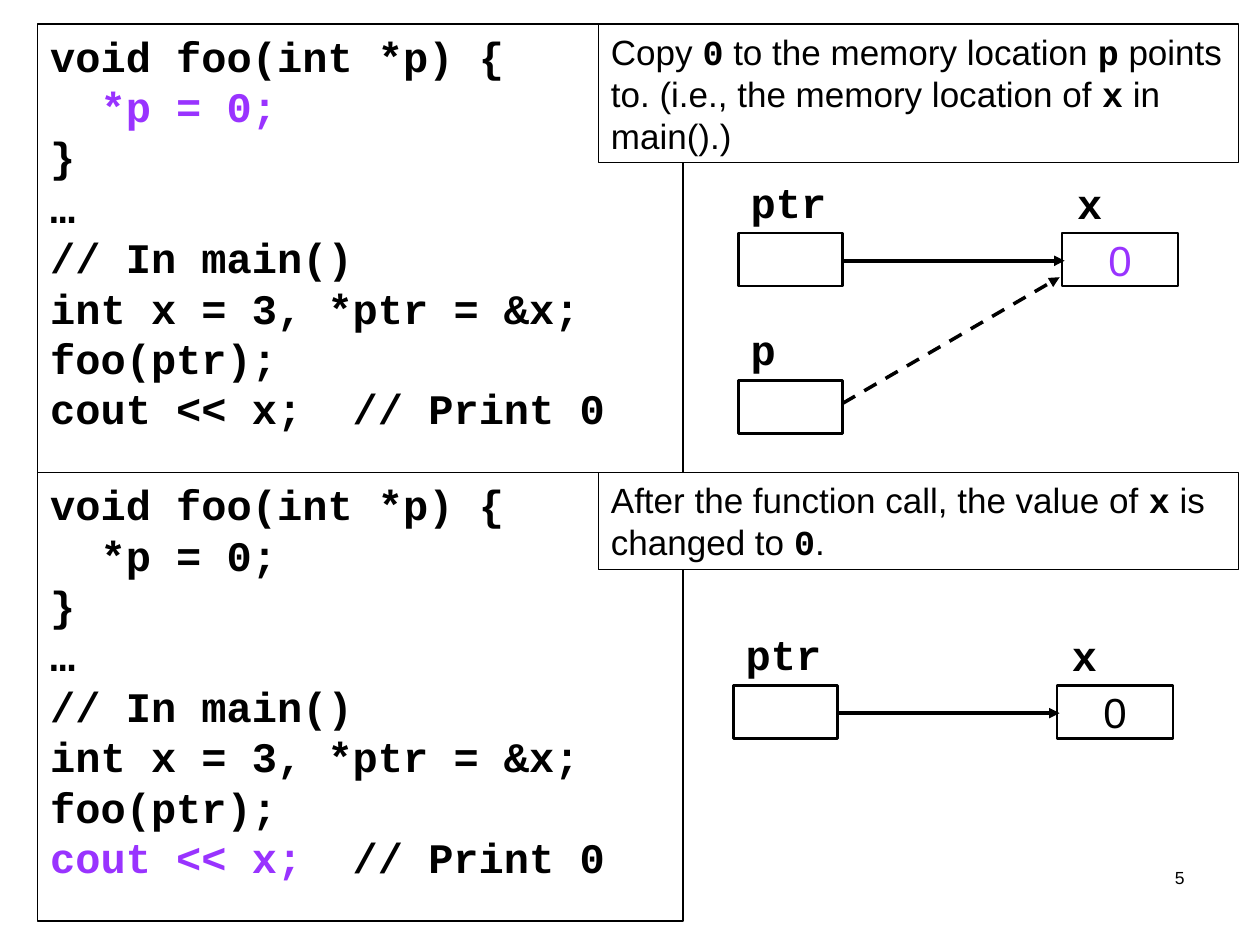
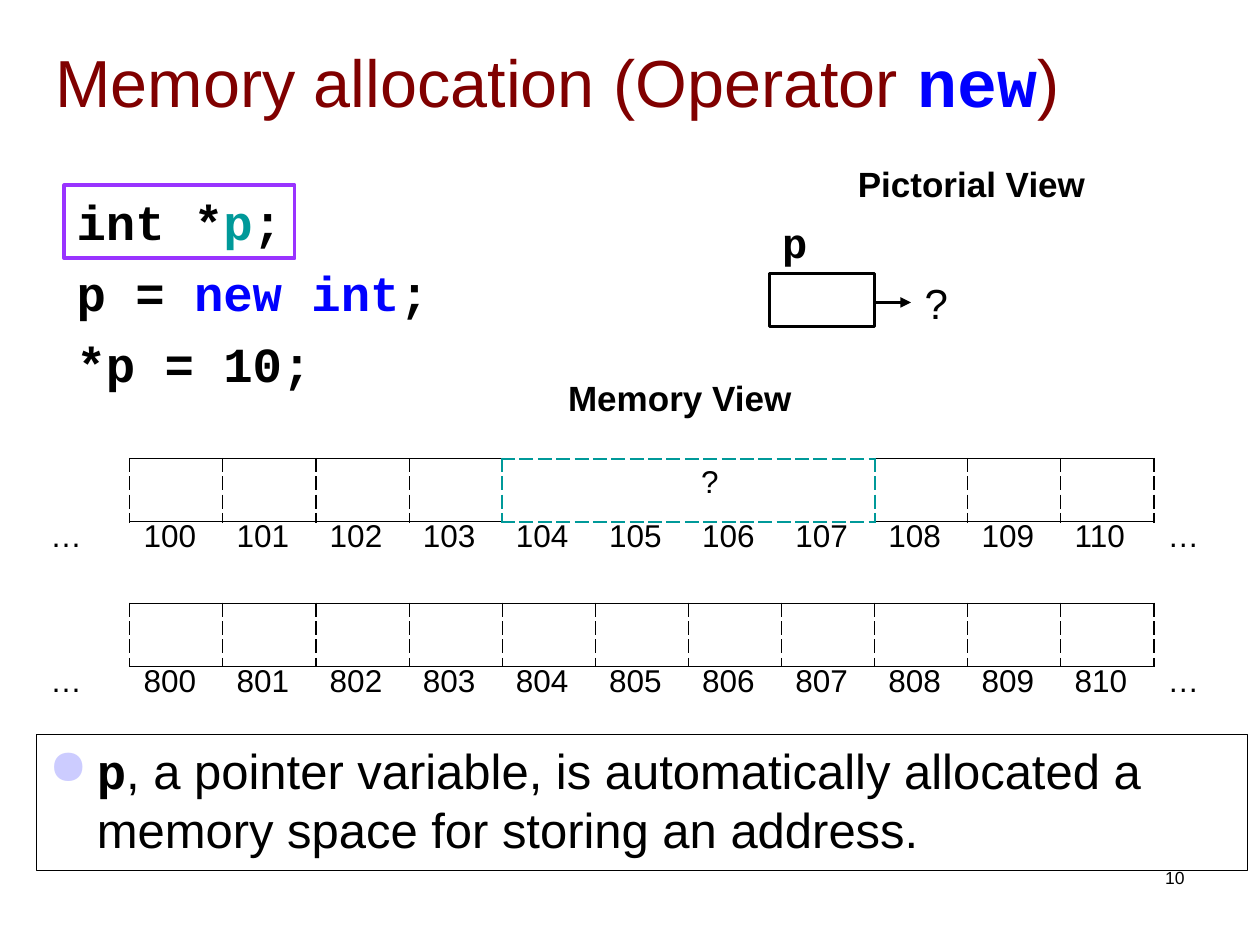
import lxml.etree
import pptx
import pptx.dml.color
import pptx.enum.dml
import pptx.enum.shapes
import pptx.enum.text
import pptx.oxml.ns
import pptx.util

RGB = pptx.dml.color.RGBColor
BLACK = RGB(0x00, 0x00, 0x00)
WHITE = RGB(0xFF, 0xFF, 0xFF)
PURPLE = RGB(0x99, 0x33, 0xFF)
MAROON = RGB(0x80, 0x00, 0x00)
BLUE = RGB(0x00, 0x00, 0xFF)
TEAL = RGB(0x00, 0x99, 0x99)
LILAC = RGB(0xCC, 0xCC, 0xFF)

# Run styles: font, bold, colour
SANS = ("Arial", False, BLACK)
HEAD = ("Arial", True, BLACK)
TITLE = ("Arial", False, MAROON)
VALUE_NEW = ("Arial", False, PURPLE)
MONO = ("Courier New", True, BLACK)
MONO_HOT = ("Courier New", True, PURPLE)
MONO_KEY = ("Courier New", True, BLUE)
MONO_VAR = ("Courier New", True, TEAL)

LEFT, CENTER, RIGHT = (pptx.enum.text.PP_ALIGN.LEFT, pptx.enum.text.PP_ALIGN.CENTER,
                       pptx.enum.text.PP_ALIGN.RIGHT)
MIDDLE = pptx.enum.text.MSO_ANCHOR.MIDDLE

CODE = ["void foo(int *p) {", "  *p = 0;", "}", "…", "// In main()",
        "int x = 3, *ptr = &x;", "foo(ptr);", "cout << x;  // Print 0"]
CODE_SIZE = (5.12, 3.56)
NOTE_LEFT, NOTE_WIDTH = 4.75, 5.08

# Lower stage first, so that the upper one lies in front
STAGES = [
    dict(top=3.75, hot="cout << x; ", ptr=(5.82, 5.44), value=SANS, call=False,
         note_height=0.77,
         note=[("After the function call, the value of ", SANS), ("x", MONO),
               (" is changed to ", SANS), ("0", MONO), (".", SANS)]),
    dict(top=0.19, hot="  *p = 0;", ptr=(5.86, 1.85), value=VALUE_NEW, call=True,
         note_height=1.1,
         note=[("Copy ", SANS), ("0", MONO), (" to the memory location ", SANS),
               ("p", MONO), (" points to. (i.e., the memory location of ", SANS),
               ("x", MONO), (" in main().)", SANS)]),
]
POINTER = (0.83, 0.42)
TARGET = (0.92, 0.42)
LABEL_RISE = 0.5
TARGET_SHIFT = 2.57
CALL_DROP = 1.17

TITLE_RUNS = [("Memory allocation (Operator ", TITLE), ("new", MONO_KEY), (")", TITLE)]
STATEMENTS = [
    [("int *", MONO), ("p", MONO_VAR), (";", MONO)],
    [("p = ", MONO), ("new int", MONO_KEY), (";", MONO)],
    [("*p = 10;", MONO)],
]
EXPLANATION = [("p", MONO), (", a pointer variable, is automatically allocated a memory "
                             "space for storing an address.", SANS)]
# Memory strips: top, first address, cells of the new variable
STRIPS = [(3.64, 100, range(4, 8)), (4.79, 800, range(0))]
STRIP_CELLS = 11
UNKNOWN_CELL = 6
STRIP_LEFT, STRIP_WIDTH = 1.03, 8.13
ADDRESS_LEFT, ADDRESS_WIDTH, ADDRESS_DROP = 0.3, 9.61, 0.43
EDGE = (BLACK, 1.08, False)
DIVIDER = (BLACK, 0.75, True)
NEW_EDGE = (TEAL, 1.47, True)


def inches(values):
    return [pptx.util.Inches(v) for v in values]


def sub(parent, tag, **attributes):
    return lxml.etree.SubElement(parent, pptx.oxml.ns.qn(tag), attributes)


def write(tf, paragraphs, size, align=LEFT, gap=0, hanging=False, bullet=False):
    """Fill a text frame with paragraphs, each a list of (text, style) runs."""
    for i, runs in enumerate(paragraphs):
        p = tf.add_paragraph() if i else tf.paragraphs[0]
        p.alignment = align
        if i and gap:
            p.space_before = pptx.util.Pt(gap)
        if hanging:
            indent = pptx.util.Inches(0.38)
            p_pr = p._p.get_or_add_pPr()
            p_pr.set("marL", str(indent))
            p_pr.set("indent", str(-indent))
            if bullet:
                sub(sub(p_pr, "a:buClr"), "a:srgbClr", val=str(LILAC))
                sub(p_pr, "a:buChar", char="●")
            else:
                sub(p_pr, "a:buNone")
        for text, (font, bold, colour) in runs:
            r = p.add_run()
            r.text = text
            r.font.name, r.font.bold, r.font.size = font, bold, pptx.util.Pt(size)
            r.font.color.rgb = colour


def text_box(s, at, paragraphs, size, wrap=True, anchor=None, **layout):
    tf = s.shapes.add_textbox(*inches(at)).text_frame
    tf.word_wrap = wrap
    if anchor is not None:
        tf.vertical_anchor = anchor
    write(tf, paragraphs, size, **layout)


def box(s, at, width, colour=BLACK, fill=None, paragraphs=(), size=24, anchor=None, **layout):
    sp = s.shapes.add_shape(pptx.enum.shapes.MSO_SHAPE.RECTANGLE, *inches(at))
    sp.shadow.inherit = False
    if fill is None:
        sp.fill.background()
    else:
        sp.fill.solid()
        sp.fill.fore_color.rgb = fill
    sp.line.color.rgb = colour
    sp.line.width = pptx.util.Pt(width)
    sp.text_frame.vertical_anchor = anchor or pptx.enum.text.MSO_ANCHOR.TOP
    write(sp.text_frame, paragraphs, size, **layout)


def arrow(s, start, end, dashed=False):
    line = s.shapes.add_connector(pptx.enum.shapes.MSO_CONNECTOR.STRAIGHT,
                                  *inches(start + end))
    line.line.color.rgb = BLACK
    line.line.width = pptx.util.Pt(2)
    if dashed:
        line.line.dash_style = pptx.enum.dml.MSO_LINE.DASH
    sub(line.line._get_or_add_ln(), "a:tailEnd", type="triangle")
    sub(line._element.spPr, "a:effectLst")


def pointer(s, name, left, top, width, fill=None):
    """An empty variable box with its name above."""
    box(s, (left, top) + POINTER, 1.5, fill=fill)
    text_box(s, (left, top - LABEL_RISE, width, 0.5), [[(name, MONO)]], 24, wrap=False)


def page_number(s, number):
    text_box(s, (7.17, 6.83, 2.33, 0.5), [[(str(number), SANS)]], 10, align=RIGHT)


def stage(s, top, hot, ptr, value, call, note_height, note):
    listing = []
    for line in CODE:
        before, found, after = line.partition(hot)
        parts = [(before, MONO), (found, MONO_HOT), (after, MONO)]
        listing.append([part for part in parts if part[0]])
    box(s, (0.3, top) + CODE_SIZE, 0.75, fill=WHITE, paragraphs=listing)

    left, row = ptr
    target = left + TARGET_SHIFT
    tip = left + POINTER[0]
    pointer(s, "ptr", left, row, 0.8)
    box(s, (target, row) + TARGET, 1.5, paragraphs=[[("0", value)]],
        align=CENTER, anchor=MIDDLE)
    text_box(s, (target + 0.02, row - 0.49, 0.33, 0.5), [[("x", MONO)]], 24, wrap=False)
    arrow(s, (tip, row + 0.22), (target + 0.02, row + 0.22))
    if call:
        pointer(s, "p", left, row + CALL_DROP, 0.4)
        arrow(s, (tip, row + CALL_DROP + 0.18), (target - 0.02, row + 0.35), dashed=True)
    box(s, (NOTE_LEFT, top, NOTE_WIDTH, note_height), 0.75, fill=WHITE,
        paragraphs=[note], size=20)


def border(cell, **sides):
    """Set the borders L, R, T and B; a side given as None is not drawn."""
    tc_pr = cell._tc.get_or_add_tcPr()
    for i, side in enumerate("LRTB"):
        style = sides.get(side)
        ln = lxml.etree.Element(pptx.oxml.ns.qn("a:ln" + side))
        tc_pr.insert(i, ln)
        if style is None:
            sub(ln, "a:noFill")
            continue
        colour, width, dashed = style
        ln.set("w", str(pptx.util.Pt(width)))
        sub(sub(ln, "a:solidFill"), "a:srgbClr", val=str(colour))
        sub(ln, "a:prstDash", val="dash" if dashed else "solid")


def one_row_table(s, left, top, width, height, texts):
    columns = len(texts)
    table = s.shapes.add_table(1, columns, *inches((left, top, width, height))).table
    table.first_row = table.horz_banding = False
    for column, cell, text in zip(table.columns, table.rows[0].cells, texts):
        column.width = pptx.util.Inches(width / columns)
        cell.fill.background()
        if text:
            write(cell.text_frame, [[(text, SANS)]], 18)
    return list(table.rows[0].cells)


def memory_strip(s, top, first, new):
    def divider(i):
        """The style of the line between cells i - 1 and i."""
        if new and i in (new.start, new.stop):
            return NEW_EDGE
        return None if i in new else DIVIDER

    contents = ["?" if i in new and i == UNKNOWN_CELL else "" for i in range(STRIP_CELLS)]
    cells = one_row_table(s, STRIP_LEFT, top, STRIP_WIDTH, 0.5, contents)
    for i, cell in enumerate(cells):
        edge = NEW_EDGE if i in new else EDGE
        border(cell, L=divider(i), R=divider(i + 1), T=edge, B=edge)
    addresses = ["…", *map(str, range(first, first + STRIP_CELLS)), "…"]
    for cell in one_row_table(s, ADDRESS_LEFT, top + ADDRESS_DROP, ADDRESS_WIDTH, 0.4, addresses):
        border(cell)


def call_slide(s):
    for parts in STAGES:
        stage(s, **parts)
    page_number(s, 5)


def allocation_slide(s):
    text_box(s, (0.34, 0.14, 9.37, 1.01), [TITLE_RUNS], 38, anchor=MIDDLE)
    text_box(s, (0.51, 1.47, 5.24, 1.7), STATEMENTS, 28, gap=7, hanging=True)
    text_box(s, (4.41, 2.94, 1.98, 0.44), [[("Memory View", HEAD)]], 20, wrap=False)
    for strip in STRIPS:
        memory_strip(s, *strip)
    pointer(s, "p", 6.11, 2.17, 0.4, fill=WHITE)
    arrow(s, (6.94, 2.4), (7.23, 2.4))
    text_box(s, (7.24, 2.15, 0.38, 0.5), [[("?", SANS)]], 24, wrap=False)
    text_box(s, (6.71, 1.24, 2.01, 0.44), [[("Pictorial View", HEAD)]], 20, wrap=False)
    box(s, (0.51, 1.47, 1.83, 0.58), 2, colour=PURPLE)
    box(s, (0.29, 5.83, 9.61, 1.08), 0.75, paragraphs=[EXPLANATION], size=28,
        hanging=True, bullet=True)
    page_number(s, 10)


def main():
    prs = pptx.Presentation()
    prs.slide_width, prs.slide_height = inches((10, 7.5))
    for build in (call_slide, allocation_slide):
        build(prs.slides.add_slide(prs.slide_layouts[6]))
    prs.save("out.pptx")


if __name__ == "__main__":
    main()
